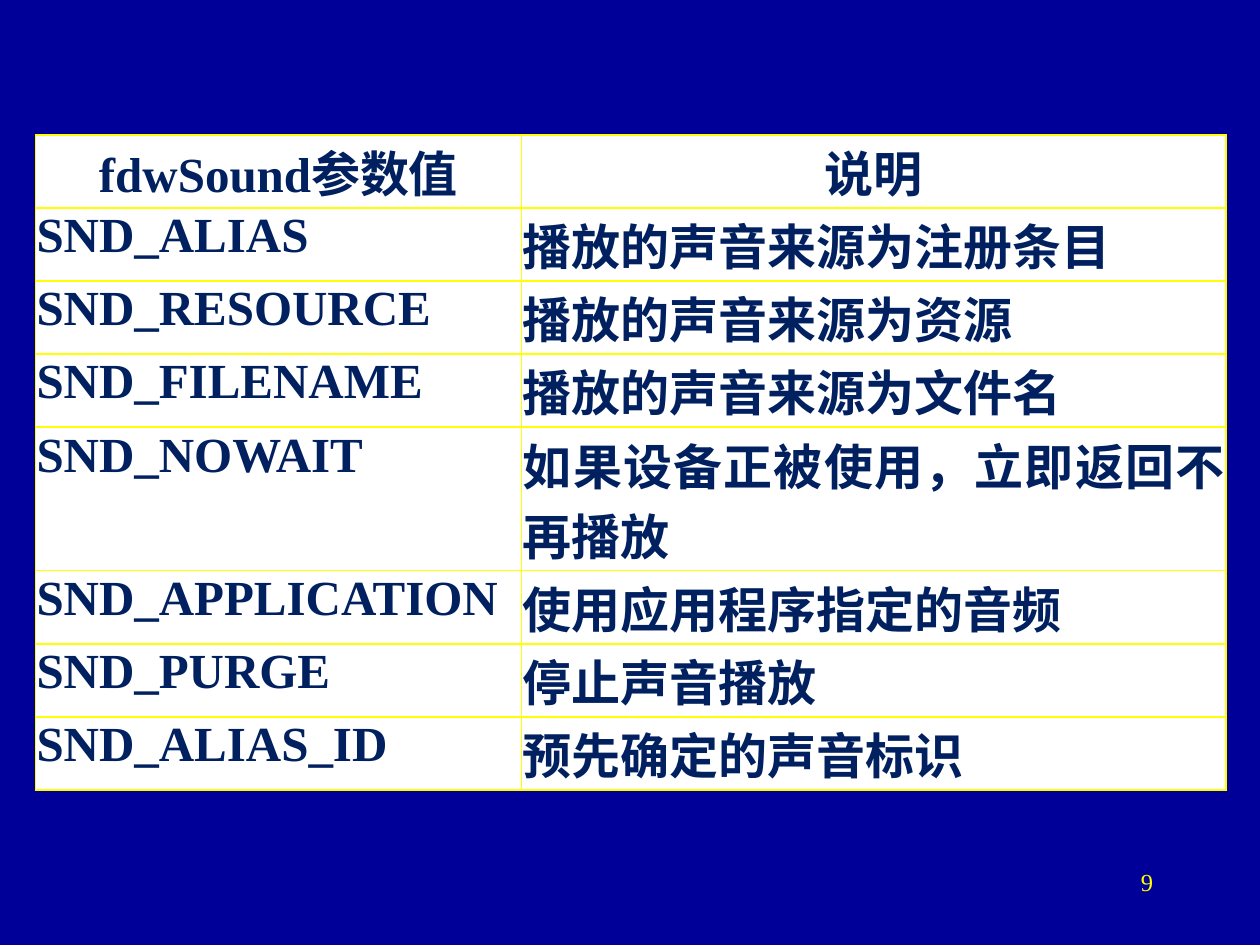
from lxml import etree
from pptx import Presentation
from pptx import util as u
from pptx.dml.color import RGBColor
from pptx.enum import text
from pptx.oxml import ns

HEADER = ("fdwSound参数值", "说明")
FLAGS = [
    ("SND_ALIAS", "播放的声音来源为注册条目"),
    ("SND_RESOURCE", "播放的声音来源为资源"),
    ("SND_FILENAME", "播放的声音来源为文件名"),
    ("SND_NOWAIT", "如果设备正被使用，立即返回不再播放"),
    ("SND_APPLICATION", "使用应用程序指定的音频"),
    ("SND_PURGE", "停止声音播放"),
    ("SND_ALIAS_ID", "预先确定的声音标识"),
]
PAGE_NUMBER = "9"
COLUMN_WIDTHS = (3.86, 5.59)
LINE_HEIGHT = 0.58
WRAPPED_HEIGHT = 1.14
WRAPPED_FLAG = "SND_NOWAIT"

FONT = "Times New Roman"
NAVY = RGBColor(0x00, 0x00, 0x99)
INK = RGBColor(0x00, 0x20, 0x60)
YELLOW = RGBColor(0xFF, 0xFF, 0x00)
WHITE = RGBColor(0xFF, 0xFF, 0xFF)


def write(frame, words, size, color, align, bold=False):
    frame.text = words
    line = frame.paragraphs[0]
    line.alignment = align
    font = line.runs[0].font
    font.name, font.size, font.bold = FONT, u.Pt(size), bold
    font.color.rgb = color


def add_borders(cell):
    properties = cell._tc.get_or_add_tcPr()
    for side in ("a:lnL", "a:lnR", "a:lnT", "a:lnB"):
        border = etree.SubElement(properties, ns.qn(side), w=str(u.Pt(1)))
        fill = etree.SubElement(border, ns.qn("a:solidFill"))
        etree.SubElement(fill, ns.qn("a:srgbClr"), val=str(YELLOW))


def add_flag_table(slide):
    rows = [HEADER] + FLAGS
    heights = [WRAPPED_HEIGHT if name == WRAPPED_FLAG else LINE_HEIGHT
               for name, _ in rows]
    table = slide.shapes.add_table(
        len(rows), len(HEADER), u.Inches(0.28), u.Inches(1.07),
        u.Inches(sum(COLUMN_WIDTHS)), u.Inches(sum(heights))).table
    for column, width in zip(table.columns, COLUMN_WIDTHS):
        column.width = u.Inches(width)
    for r, (row, height) in enumerate(zip(rows, heights)):
        table.rows[r].height = u.Inches(height)
        align = text.PP_ALIGN.JUSTIFY if r else text.PP_ALIGN.CENTER
        for c, words in enumerate(row):
            cell = table.cell(r, c)
            cell.margin_left = cell.margin_right = u.Inches(0.01)
            cell.margin_top = cell.margin_bottom = u.Inches(0.01)
            add_borders(cell)
            cell.fill.solid()
            cell.fill.fore_color.rgb = WHITE
            write(cell.text_frame, words, 28, INK, align, bold=True)


def main():
    deck = Presentation()
    deck.slide_width, deck.slide_height = u.Inches(10), u.Inches(7.5)
    slide = deck.slides.add_slide(deck.slide_layouts.get_by_name("Blank"))
    slide.background.fill.solid()
    slide.background.fill.fore_color.rgb = NAVY
    number = slide.shapes.add_textbox(
        u.Inches(7.17), u.Inches(6.83), u.Inches(2.08), u.Inches(0.5))
    number.text_frame.word_wrap = True
    write(number.text_frame, PAGE_NUMBER, 14, YELLOW, text.PP_ALIGN.RIGHT)
    add_flag_table(slide)
    deck.save("out.pptx")


if __name__ == "__main__":
    main()
